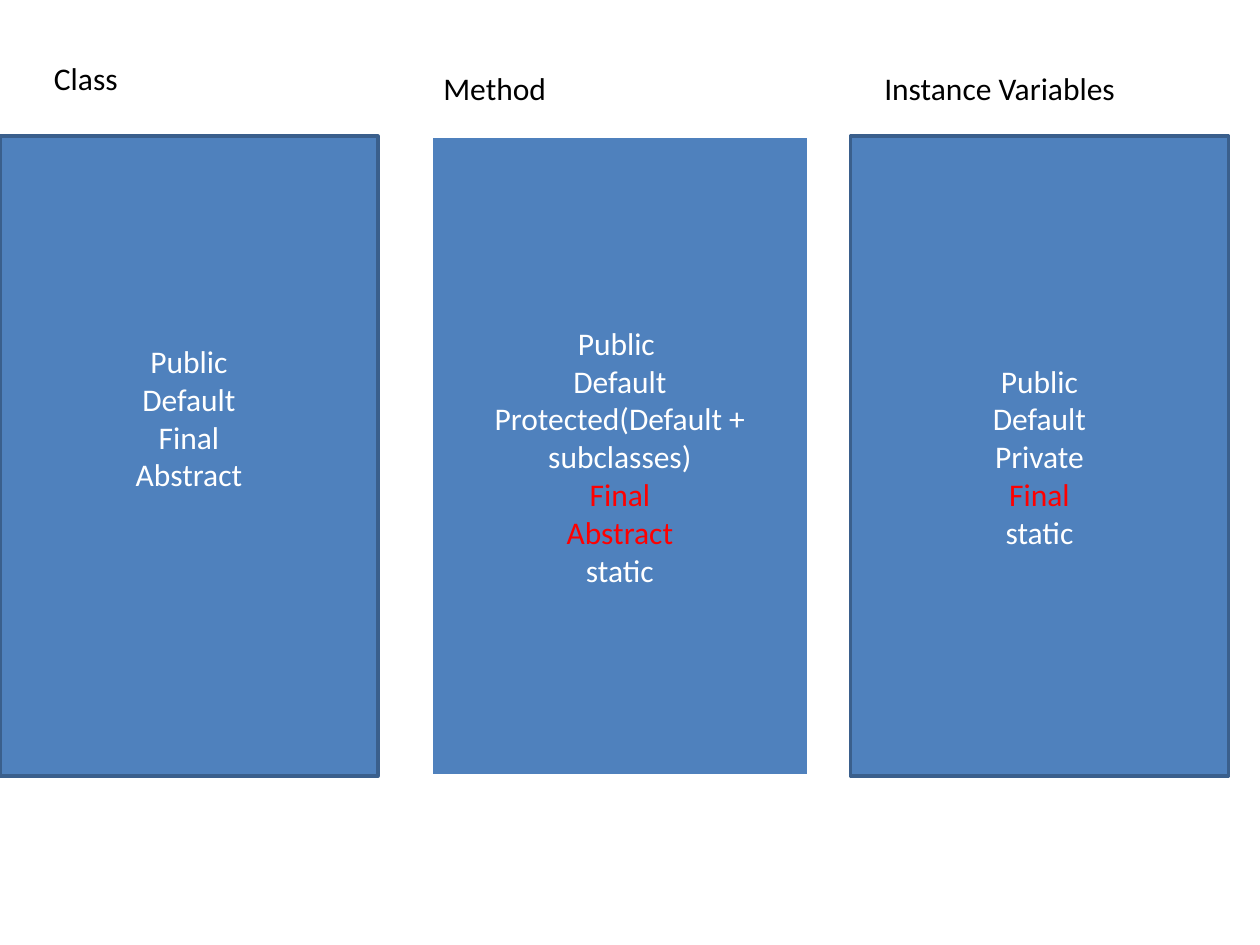
from dataclasses import dataclass

from pptx import Presentation
from pptx.dml.color import RGBColor
from pptx.enum.shapes import MSO_SHAPE
from pptx.enum.text import MSO_ANCHOR, MSO_AUTO_SIZE, PP_ALIGN
from pptx.util import Inches, Pt

RECTANGLE = MSO_SHAPE.RECTANGLE
MIDDLE = MSO_ANCHOR.MIDDLE
CENTER = PP_ALIGN.CENTER
GROW = MSO_AUTO_SIZE.SHAPE_TO_FIT_TEXT


@dataclass(frozen=True)
class Theme:
    """Colours, font and sizes of the slide."""
    panel: RGBColor = RGBColor(0x4F, 0x81, 0xBD)
    border: RGBColor = RGBColor(0x3A, 0x5F, 0x8C)
    white: RGBColor = RGBColor(0xFF, 0xFF, 0xFF)
    black: RGBColor = RGBColor(0, 0, 0)
    accent: RGBColor = RGBColor(0xFF, 0, 0)
    font: str = "Calibri"
    size: Pt = Pt(18)
    border_width: Pt = Pt(2)


THEME = Theme()


def add_run(paragraph, text, color):
    """Add one run in the theme font."""
    run = paragraph.add_run()
    run.text = text
    run.font.name = THEME.font
    run.font.size = THEME.size
    run.font.color.rgb = color


def add_heading(slide, box, title):
    """Place a column heading in the box."""
    heading = slide.shapes.add_textbox(*map(Inches, box))
    frame = heading.text_frame
    frame.word_wrap = True
    frame.auto_size = GROW
    add_run(frame.paragraphs[0], title, THEME.black)


def add_modifier_panel(slide, box, modifiers, highlighted, border, bottom_inset):
    """Place a panel listing modifiers, with some of them highlighted."""
    panel = slide.shapes.add_shape(RECTANGLE, *map(Inches, box))
    panel.shadow.inherit = False
    panel.fill.solid()
    panel.fill.fore_color.rgb = THEME.panel
    panel.line.color.rgb = border
    panel.line.width = THEME.border_width
    frame = panel.text_frame
    frame.word_wrap = True
    frame.vertical_anchor = MIDDLE
    frame.margin_bottom = Inches(bottom_inset)
    for index, modifier in enumerate(modifiers):
        paragraph = frame.add_paragraph() if index else frame.paragraphs[0]
        paragraph.alignment = CENTER
        color = THEME.accent if modifier in highlighted else THEME.white
        add_run(paragraph, modifier, color)


def main():
    """Build the slide of modifiers by program element."""
    presentation = Presentation()
    presentation.slide_width = Inches(10)
    presentation.slide_height = Inches(7.5)
    slide = presentation.slides.add_slide(presentation.slide_layouts[6])

    columns = [
        ("Class", 0.33, 0.42, 0, THEME.border, 0.66,
         ["Public", "Default", "Final", "Abstract"], ()),
        ("Method", 3.42, 0.5, 3.42, THEME.white, 0.05,
         ["Public ", "Default", "Protected(Default + subclasses)",
          "Final", "Abstract", "static"], ("Final", "Abstract")),
        ("Instance Variables", 6.92, 0.5, 6.75, THEME.border, 0.05,
         ["Public", "Default", "Private", "Final", "static"], ("Final",)),
    ]
    for title, title_left, title_top, left, border, inset, modifiers, highlighted in columns:
        add_modifier_panel(slide, (left, 1.08, 3, 5.08), modifiers,
                           highlighted, border, inset)
        add_heading(slide, (title_left, title_top, 3.58, 0.4), title)

    presentation.save("out.pptx")


if __name__ == "__main__":
    main()
